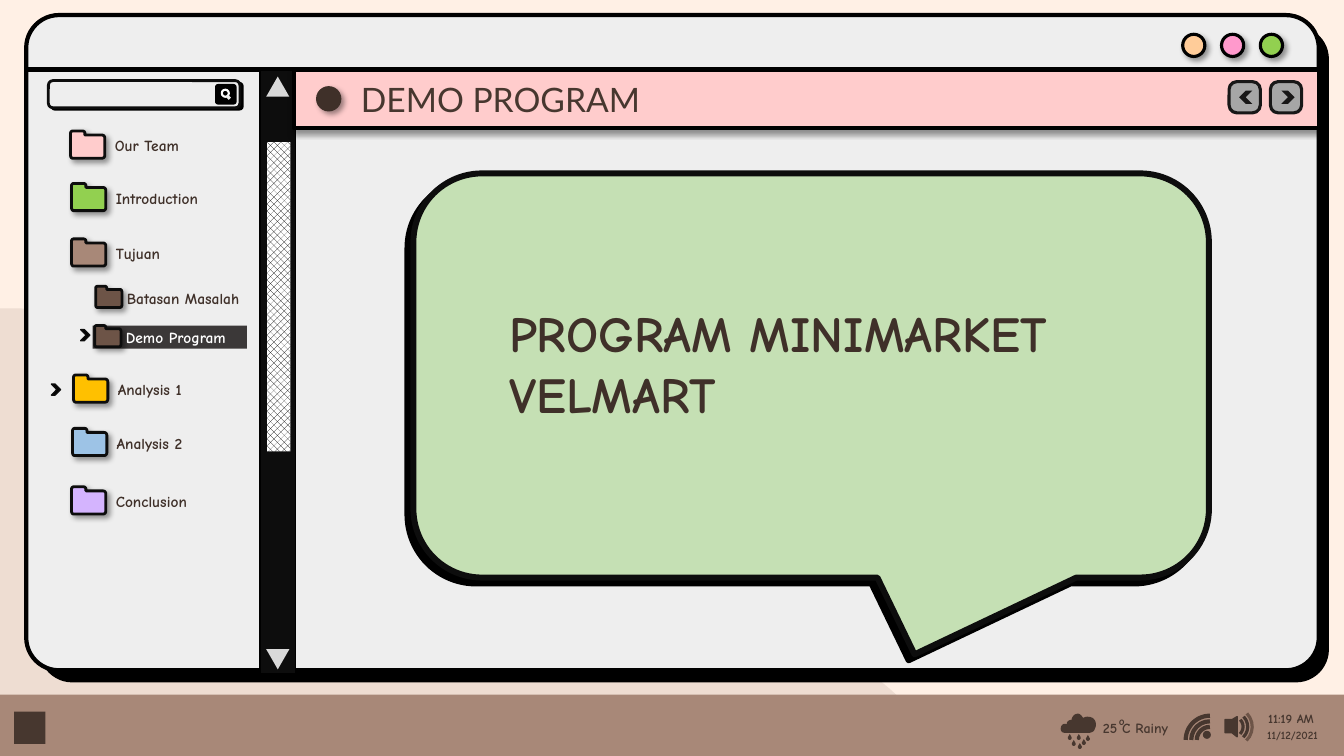
"""Build the demo program slide styled as a retro desktop window."""
from lxml.etree import SubElement
from pptx import Presentation
from pptx.dml.color import RGBColor
from pptx.enum.dml import MSO_PATTERN as PAT
from pptx.enum.shapes import MSO_CONNECTOR, MSO_SHAPE as S
from pptx.enum.text import MSO_ANCHOR, MSO_AUTO_SIZE, PP_ALIGN
from pptx.oxml.ns import qn
from pptx.util import Inches, Pt

prs = Presentation()
prs.slide_width, prs.slide_height = Inches(13.33), Inches(7.5)
COL, ROW = prs.slide_width / 133.3, prs.slide_height / 75
s = prs.slides.add_slide(prs.slide_layouts[5])
rgb = RGBColor.from_string

INK, DARK, BLACK, NEAR = "47372F", "3F3029", "000000", "0D0D0D"
TAN, BROWN, PALE, PINK, GREEN = "A88878", "6D5447", "EEEEEE", "FFCCCC", "92D050"
SOFT = (40, 4, 3, 45)
WAVE = [(0, 0), (.27, -.02, .07, .65, .42, .64), (.72, .63, .85, .61, 1, 1), (0, 1)]
CLOUD = [(.49, 0), (.54, 0, .6, .11, .63, .21), (.66, .21),
         (.69, .16, .74, .16, .77, .16), (.91, .16, 1, .32, 1, .58),
         (1, .68, .97, .79, .94, .9), (.91, .95, .86, 1, .8, 1), (.11, 1),
         (.04, 1, 0, .9, 0, .79), (0, .63, .06, .53, .11, .53), (.17, .55),
         (.17, .42, .23, .32, .31, .32), (.31, .28), (.34, .11, .4, 0, .49, 0)]
SPEAKER = [(1, 0), (1, 1), (.58, .8), (0, .8), (0, .15), (.58, .15)]
FOLDER = [(.06, 0), (.35, 0), (.39, 0, .42, .04, .42, .08), (.42, .15), (.92, .15),
          (.96, .15, 1, .19, 1, .26), (1, .89), (1, .96, .96, 1, .92, 1), (.06, 1),
          (.03, 1, 0, .96, 0, .89), (0, .08), (0, .04, .03, 0, .06, 0)]


def add(kind, x, y, w, h, fill=None, line=None, pt=1, shadow=None, rot=0, adj=()):
    """Add a line, a preset shape or a unit outline on the grid."""
    box = [round(v) for v in (x * COL, y * ROW, w * COL, h * ROW)]
    if kind == "line":
        sp = s.shapes.add_connector(MSO_CONNECTOR.STRAIGHT, box[0], box[1],
                                    box[0] + box[2], box[1] + box[3])
    elif isinstance(kind, list):
        pts = [kind[0]]
        for seg in kind[1:]:
            if len(seg) == 2:
                pts.append(seg)
                continue
            a, b, c, d = pts[-1], seg[:2], seg[2:4], seg[4:]
            n = 40 if kind is WAVE else 6
            for t in (i / n for i in range(1, n + 1)):
                pts.append([(1 - t) ** 3 * a[k] + 3 * t * (1 - t) ** 2 * b[k]
                            + 3 * t * t * (1 - t) * c[k] + t ** 3 * d[k] for k in (0, 1)])
        pts = [(box[0] + u * box[2], box[1] + v * box[3]) for u, v in pts]
        fb = s.shapes.build_freeform(*pts[0])
        fb.add_line_segments(pts[1:], close=True)
        sp = fb.convert_to_shape()
    else:
        sp = s.shapes.add_shape(kind, *box)
        sp.rotation = rot
        for i, v in enumerate(adj):
            sp.adjustments[i] = v
    if isinstance(fill, tuple):
        sp.fill.patterned()
        sp.fill.pattern = fill[0]
        sp.fill.fore_color.rgb, sp.fill.back_color.rgb = rgb(fill[1]), rgb(fill[2])
    elif fill:
        sp.fill.solid()
        sp.fill.fore_color.rgb = rgb(fill)
    elif kind != "line":
        sp.fill.background()
    if line:
        sp.line.color.rgb, sp.line.width = rgb(line), Pt(pt)
    else:
        sp.line.fill.background()
    fx = SubElement(sp.element.spPr, qn("a:effectLst"))
    if shadow:
        alpha, blur, dist, angle = shadow
        sh = SubElement(fx, qn("a:outerShdw"), blurRad=str(Pt(blur)), dist=str(Pt(dist)),
                        dir=str(angle * 60000), algn="ctr", rotWithShape="0")
        clr = SubElement(sh, qn("a:srgbClr"), val=BLACK)
        SubElement(clr, qn("a:alpha"), val=str(alpha * 1000))


def text(t, x, y, w, h, size=11, font="Comic Neue", color=DARK, bold=True, wrap=False, sp=None):
    """Write one formatted line or paragraph into a new or given box."""
    sp = sp or s.shapes.add_textbox(0, 0, 0, 0)
    sp.left, sp.top = round(x * COL), round(y * ROW)
    sp.width, sp.height = round(w * COL), round(h * ROW)
    tf = sp.text_frame
    tf.word_wrap, tf.auto_size = wrap, MSO_AUTO_SIZE.SHAPE_TO_FIT_TEXT
    tf.vertical_anchor = MSO_ANCHOR.TOP
    p = tf.paragraphs[0]
    p.alignment = PP_ALIGN.LEFT
    r = p.add_run()
    r.text = t
    r.font.size, r.font.name, r.font.bold = Pt(size), font, bold
    r.font.color.rgb = rgb(color)


s.background.fill.solid()
s.background.fill.fore_color.rgb = rgb("FFF0E5")
add(WAVE, 0, 30.6, 94.6, 44.4, "EEDDD2")
add(S.RECTANGLE, 0, 68.9, 133.3, 6.1, TAN)
add(S.RECTANGLE, 1.4, 70.6, 3.1, 3.2, INK)

add(CLOUD, 105.2, 70.8, 3.5, 1.9, INK)
for x, y in [(105.9, 73), (106.3, 73.6), (106.8, 73), (107.3, 73.5), (107.7, 73.1), (106.9, 73.9)]:
    add(S.TEAR, x, y, .4, .4, INK, rot=315, adj=[1.35])
text("25 C Rainy", 108.4, 70.9, 9.4, 2.7, size=10, color=INK)
text("o", 110, 70.4, 2.6, 2.4, size=8, color=INK)
add(S.OVAL, 119.3, 72.5, .8, .8, INK)
for d in (2.6, 3.7, 4.8):
    add(S.ARC, 120 - d / 2, 73.4 - d / 2, d, d, line=INK, pt=3, rot=270)
add(SPEAKER, 121.5, 71.1, 1.2, 2, INK, INK)
for d, color in [(2, INK), (2.9, INK), (3.8, BROWN)]:
    add(S.ARC, 122.3 - d / 2, 72.1 - d / 2, d, d, line=color, pt=2.25, rot=46)
text("11:19 AM", 124.8, 70, 8.9, 2.5, size=9, color=INK, wrap=True)
text("11/12/2021", 124.7, 71.8, 8.9, 2.4, size=8, color=INK, wrap=True)

add(S.ROUNDED_RECTANGLE, 3.9, 2.6, 127.9, 65.1, BLACK, adj=[.05])
add(S.ROUNDED_RECTANGLE, 2.6, 1.5, 128.2, 65, (PAT.DARK_VERTICAL, PALE, "FFFFFF"), BLACK, 3, adj=[.05])
add("line", 2.6, 6.9, 128.2, 0, line=BLACK, pt=3)
for i, color in enumerate(["FFCC99", "FF99CC", GREEN]):
    add(S.OVAL, 117.3 + 3.85 * i, 3.4, 2.2, 2.2, color, BLACK, 2.25, SOFT)
add(S.RECTANGLE, 25.8, 7, 3.5, 59.8, NEAR, BLACK)
for y, rot in [(7.6, 0), (64.4, 180)]:
    add(S.ISOSCELES_TRIANGLE, 26.4, y, 2.3, 2, "D9D9D9", rot=rot)

add(S.ROUNDED_RECTANGLE, 5.1, 8.2, 19, 2.7, BLACK, BLACK, adj=[.12])
add(S.ROUNDED_RECTANGLE, 4.8, 8, 19, 2.7, PALE, NEAR, 2, adj=[.17])
add(S.ROUNDED_RECTANGLE, 21.4, 8.4, 2, 1.9, BLACK, BLACK, adj=[.12])
add(S.OVAL, 22, 8.9, .7, .7, line="FFFFFF", pt=1.5)
add("line", 22.5, 9.5, .3, .3, line=PALE, pt=2.25)

add(S.RECTANGLE, 29.2, 6.9, 101.6, 5.8, PINK, BLACK, 3, (40, 4, 3, 90))
title = s.shapes.title
title.element.getparent().append(title.element)
text("DEMO PROGRAM", 34.8, 7.3, 38.5, 5, size=24, font="Lato", color=INK, bold=False, wrap=True, sp=title)
add(S.OVAL, 31.5, 8.7, 2.2, 2.2, DARK, DARK, 2.25, SOFT)
for x, gap, rot in [(126, 1.1, 0), (121.9, 1, 180)]:
    add(S.ROUNDED_RECTANGLE, x, 8.1, 3.1, 3.1, "A6A6A6", "181717", 2.25, adj=[.25])
    add(S.CHEVRON, x + gap, 9, 1.3, 1.3, "181717", rot=rot)

add(S.ROUNDED_RECTANGULAR_CALLOUT, 41, 17.2, 78.9, 40.1, "C5E0B4", NEAR, 4.25,
    (100, 0, 6, 135), adj=[.13, .69, .17])
text("PROGRAM MINIMARKET VELMART", 49.5, 29.5, 67.9, 13.1, size=36, wrap=True)

add(S.RECTANGLE, 9.2, 32.3, 15.3, 2.3, "3B3838")
for name, x, y, fill, color, w, h, lead in [
        ("Our Team", 7, 13, PINK, DARK, 3.4, 2.7, 3.4),
        ("Introduction", 7.1, 18.2, GREEN, DARK, 3.4, 2.7, 3.4),
        ("Tujuan", 7.1, 23.7, TAN, DARK, 3.4, 2.7, 3.4),
        ("Batasan Masalah", 9.5, 28.4, BROWN, DARK, 2.6, 2.1, 2.1),
        ("Demo Program", 9.4, 32.3, BROWN, "FFFFFF", 2.6, 2.1, 2.1),
        ("Analysis 1", 7.3, 37.2, "FFC000", DARK, 3.4, 2.7, 3.4),
        ("Analysis 2", 7.2, 42.5, "9DC3E6", DARK, 3.4, 2.7, 3.4),
        ("Conclusion", 7.1, 48.3, "D4B4FE", DARK, 3.4, 2.7, 3.4)]:
    add(FOLDER, x, y, w, h, fill, NEAR, 2, SOFT)
    text(name, x + lead, y + h / 2 - 1.3, 2 + .83 * len(name), 2.9, color=color)
for x, y in [(5.1, 38.1), (8, 32.7)]:
    add(S.CHEVRON, x, y, .9, 1.1, BLACK, NEAR, adj=[.61])
add(S.RECTANGLE, 26.5, 14.1, 2.3, 30.7, (PAT.PERCENT_50, BLACK, "FFFFFF"))

prs.save("out.pptx")
